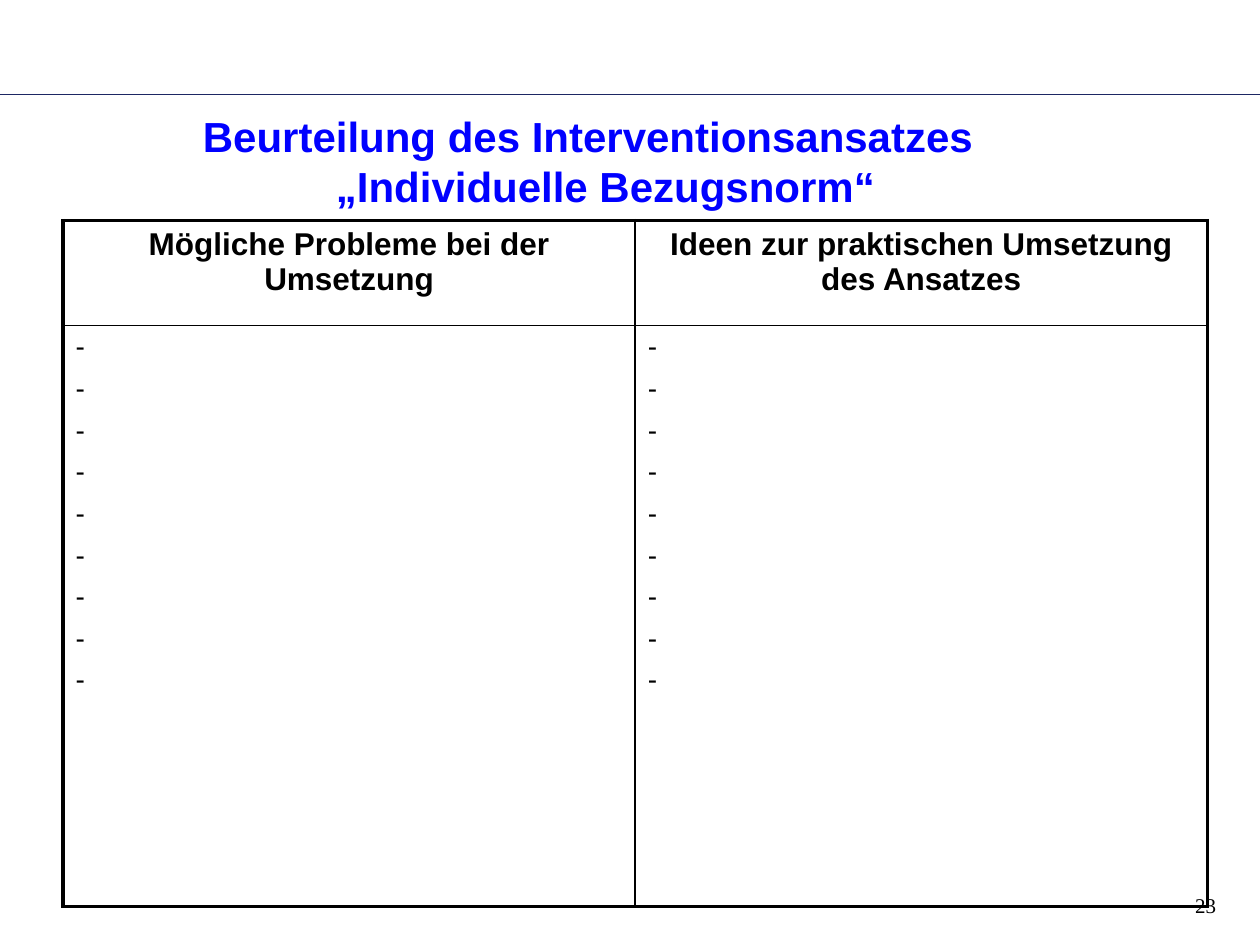
from dataclasses import dataclass

from lxml import etree
from pptx import Presentation
from pptx.dml.color import RGBColor
from pptx.enum import shapes, text
from pptx.oxml.ns import qn
from pptx.util import Pt

BLACK, BLUE, NAVY = "000000", "0000FF", "1D2763"
THIN, THICK = 1, 2.25
LEFT, CENTER, RIGHT = text.PP_ALIGN.LEFT, text.PP_ALIGN.CENTER, text.PP_ALIGN.RIGHT


@dataclass
class Style:
    size: float
    align: text.PP_ALIGN = LEFT
    bold: bool = False
    color: str = BLACK
    font: str = "Arial"
    gap: float = 0


TITLE = Style(24, CENTER, True, BLUE)
NUMBER = Style(12, RIGHT, font="Times New Roman")
HEADER = Style(18, CENTER, True, gap=3.6)
ITEM = Style(16, gap=3)

HEADINGS = [
    "Mögliche Probleme bei der Umsetzung",
    "Ideen zur praktischen Umsetzung des Ansatzes",
]
ITEMS = "\n".join(["-"] * 9)


def rgb(color: str) -> RGBColor:
    return RGBColor.from_string(color)


def write(tf, content: str, style: Style) -> None:
    tf.text = content
    for i, p in enumerate(tf.paragraphs):
        p.alignment = style.align
        p.space_before = Pt(style.gap if i else 0)
        p.space_after = Pt(style.gap)
        for r in p.runs:
            r.font.name = style.font
            r.font.size = Pt(style.size)
            r.font.bold = style.bold
            r.font.color.rgb = rgb(style.color)


def add_text(s, left: float, top: float, width: float, height: float,
             content: str, style: Style):
    sp = s.shapes.add_textbox(Pt(left), Pt(top), Pt(width), Pt(height))
    tf = sp.text_frame
    tf.word_wrap = True
    tf.vertical_anchor = text.MSO_ANCHOR.MIDDLE
    write(tf, content, style)
    return tf


def add_rule(s, top: float) -> None:
    line = s.shapes.add_connector(
        shapes.MSO_CONNECTOR.STRAIGHT, Pt(0), Pt(top), Pt(720), Pt(top))
    line.line.color.rgb = rgb(NAVY)
    line.line.width = Pt(0.25)
    etree.SubElement(line._element.spPr, qn("a:effectLst"))


def set_borders(cell, widths: dict[str, float]) -> None:
    """Draw black cell borders; must run before the cell gets its fill."""
    props = cell._tc.get_or_add_tcPr()
    for side, width in widths.items():
        ln = etree.SubElement(props, qn(f"a:ln{side}"), w=str(Pt(width)))
        fill = etree.SubElement(ln, qn("a:solidFill"))
        etree.SubElement(fill, qn("a:srgbClr"), val=BLACK)


def add_comparison(s) -> None:
    table = s.shapes.add_table(2, 2, Pt(36), Pt(126), Pt(654), Pt(392)).table
    table.first_row = table.horz_banding = False
    for column in table.columns:
        column.width = Pt(327)
    for row, height in zip(table.rows, (60, 332)):
        row.height = Pt(height)
    for col, heading in enumerate(HEADINGS):
        for row, (content, style) in enumerate([(heading, HEADER), (ITEMS, ITEM)]):
            cell = table.cell(row, col)
            set_borders(cell, {
                "L": THIN if col else THICK,
                "R": THICK if col else THIN,
                "T": THIN if row else THICK,
                "B": THICK if row else THIN,
            })
            cell.fill.background()
            write(cell.text_frame, content, style)


def main() -> None:
    prs = Presentation()
    prs.slide_width, prs.slide_height = Pt(720), Pt(540)
    s = prs.slides.add_slide(prs.slide_layouts[6])
    add_rule(s, 54)
    add_text(s, 655, 502.5, 47, 29, "23", NUMBER)
    title = add_text(
        s, 18.7, 47, 648, 90,
        "Beurteilung des Interventionsansatzes\n„Individuelle Bezugsnorm“", TITLE)
    title.margin_right = Pt(20.5)
    for p in title.paragraphs:
        p.line_spacing = Pt(28.6)
    title.paragraphs[1]._p.get_or_add_pPr().set("marL", str(Pt(20)))
    add_comparison(s)
    prs.save("out.pptx")


if __name__ == "__main__":
    main()
